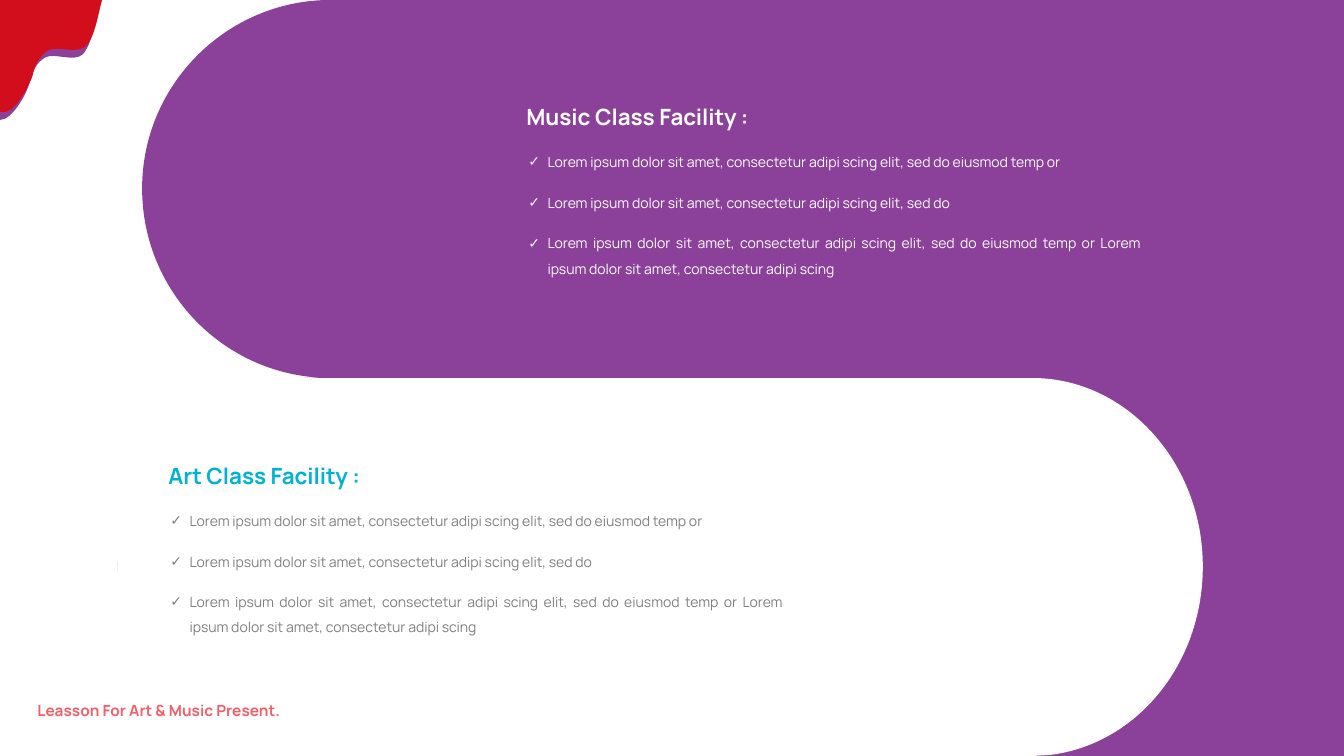
import pptx
import pptx.dml.color
import pptx.enum.text
import pptx.util
from lxml import etree
from pptx.util import Inches, Pt

THEME = {
    "font": "Manrope",
    "purple": "8B409A", "red": "D20E1C", "white": "FFFFFF",
    "cyan": "01B2D4", "grey": "808080", "coral": "F45E69",
    "heading": 16, "caption": 11, "item": 10,
}
DRAWING = "{http://schemas.openxmlformats.org/drawingml/2006/main}"


def add_outline(slide, color, contours):
    """Draw closed contours: a pair is a corner, six numbers are a cubic curve."""
    builder = None
    segments = []
    for start, *contour in contours:
        x, y = map(Inches, start)
        if builder is None:
            builder = slide.shapes.build_freeform(x, y)
        else:
            builder.move_to(x, y)
        corners = [(Inches(segment[i]), Inches(segment[i + 1]))
                   for segment in contour for i in range(0, len(segment), 2)]
        builder.add_line_segments(corners, close=True)
        segments += contour
    outline = builder.convert_to_shape()

    # Join the three points of each curve into one cubic segment
    steps = iter(list(outline.element.iter(DRAWING + "lnTo")))
    for segment in segments:
        first = next(steps)
        if len(segment) == 6:
            first.tag = DRAWING + "cubicBezTo"
            for _ in range(2):
                step = next(steps)
                first.append(step[0])
                step.getparent().remove(step)

    outline.shadow.inherit = False
    outline.fill.solid()
    outline.fill.fore_color.rgb = pptx.dml.color.RGBColor.from_string(THEME[color])
    outline.line.fill.background()


def fill_placeholder(placeholder, box, lines, size, color, bold=False,
                     align=pptx.enum.text.PP_ALIGN.JUSTIFY, bullet=None):
    placeholder.left, placeholder.top, placeholder.width, placeholder.height = map(Inches, box)
    frame = placeholder.text_frame
    frame.text = "\n".join(lines)
    frame.word_wrap = True
    frame.auto_size = pptx.enum.text.MSO_AUTO_SIZE.NONE
    frame.vertical_anchor = pptx.enum.text.MSO_ANCHOR.TOP
    for index, paragraph in enumerate(frame.paragraphs):
        paragraph.alignment = align
        paragraph.line_spacing = 1.5
        paragraph.space_before = Pt(11 if index else 0)
        if bullet:
            properties = paragraph._p.get_or_add_pPr()
            properties.set("marL", str(Inches(0.19)))
            properties.set("indent", str(Inches(-0.19)))
            etree.SubElement(properties, DRAWING + "buChar", char=bullet)
        font = paragraph.font
        font.name = THEME["font"]
        font.size = Pt(THEME[size])
        font.bold = bold
        font.color.rgb = pptx.dml.color.RGBColor.from_string(THEME[color])


presentation = pptx.Presentation()
presentation.slide_width = Inches(13.33)
presentation.slide_height = Inches(7.5)
slide = presentation.slides.add_slide(presentation.slide_layouts.get_by_name("Comparison"))
caption, music_heading, music_list, art_heading, art_list = slide.placeholders

# Background bands and the paint drip in the corner
add_outline(slide, "purple", [
    [(3.04, 3.75), (13.33, 3.75), (13.33, 7.5), (3.04, 7.5),
     (2.01, 7.5, 1.17, 6.66, 1.17, 5.62), (1.17, 4.59, 2.01, 3.75, 3.04, 3.75)],
    [(3.28, 0), (13.33, 0), (13.33, 3.75), (3.28, 3.75),
     (2.25, 3.75, 1.41, 2.91, 1.41, 1.87), (1.41, 0.84, 2.25, 0, 3.28, 0)],
])
add_outline(slide, "white", [
    [(1.17, 3.75), (10.24, 3.75), (11.17, 3.75, 11.93, 4.59, 11.93, 5.62),
     (11.93, 6.6, 11.26, 7.39, 10.41, 7.49), (10.24, 7.5), (1.17, 7.5)],
])
add_outline(slide, "purple", [
    [(0, 0.08), (0.98, 0.08), (0.95, 0.18, 0.91, 0.45, 0.82, 0.54),
     (0.73, 0.62, 0.54, 0.52, 0.45, 0.57), (0.36, 0.62, 0.32, 0.71, 0.29, 0.83),
     (0.26, 0.94, 0.12, 1.19, 0, 1.19)],
])
add_outline(slide, "red", [
    [(0, 1.11), (0, 0), (1.01, 0), (1.01, 0.01), (0.98, 0.11, 0.94, 0.38, 0.85, 0.46),
     (0.76, 0.54, 0.57, 0.45, 0.48, 0.5), (0.39, 0.55, 0.35, 0.64, 0.32, 0.76),
     (0.28, 0.87, 0.13, 1.15, 0.01, 1.11)],
])

# Text goes in front of the bands
for placeholder in (caption, music_heading, music_list, art_heading, art_list):
    slide.shapes.element.append(placeholder.element)

fill_placeholder(caption, (0.27, 6.81, 3.75, 0.35), ["Leasson For Art & Music Present."],
                 "caption", "coral", bold=True, align=pptx.enum.text.PP_ALIGN.LEFT)

facilities = [
    "Lorem ipsum dolor sit amet, consectetur adipi scing elit, sed do eiusmod temp or",
    "Lorem ipsum dolor sit amet, consectetur adipi scing elit, sed do",
    "Lorem ipsum dolor sit amet, consectetur adipi scing elit, sed do eiusmod temp or "
    "Lorem ipsum dolor sit amet, consectetur adipi scing",
]
for heading, items, title, left, top, heading_color, item_color in (
    (music_heading, music_list, "Music Class Facility :", 5.12, 0.84, "white", "white"),
    (art_heading, art_list, "Art Class Facility :", 1.57, 4.4, "cyan", "grey"),
):
    fill_placeholder(heading, (left, top, 2.58, 0.47), [title],
                     "heading", heading_color, bold=True)
    fill_placeholder(items, (left + 0.02, top + 0.55, 6.27, 1.39), facilities,
                     "item", item_color, bullet="✓")

presentation.save("out.pptx")
